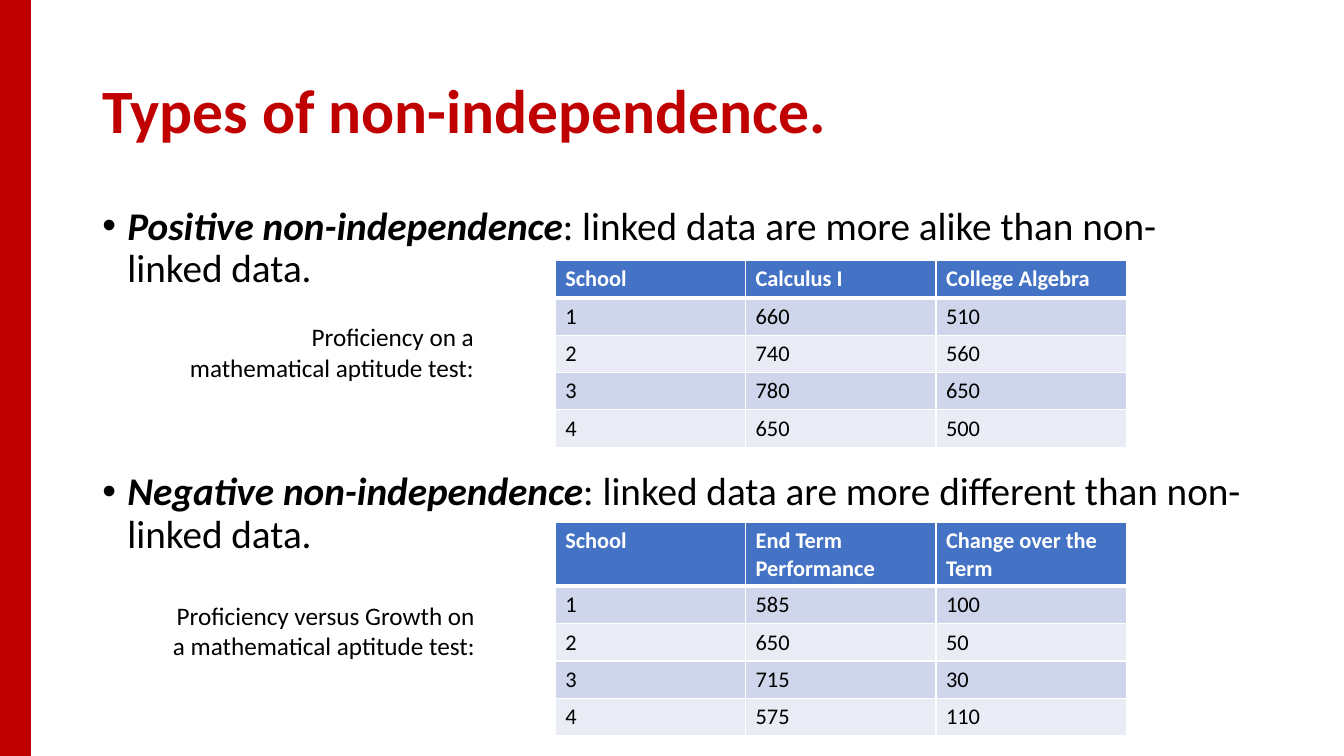
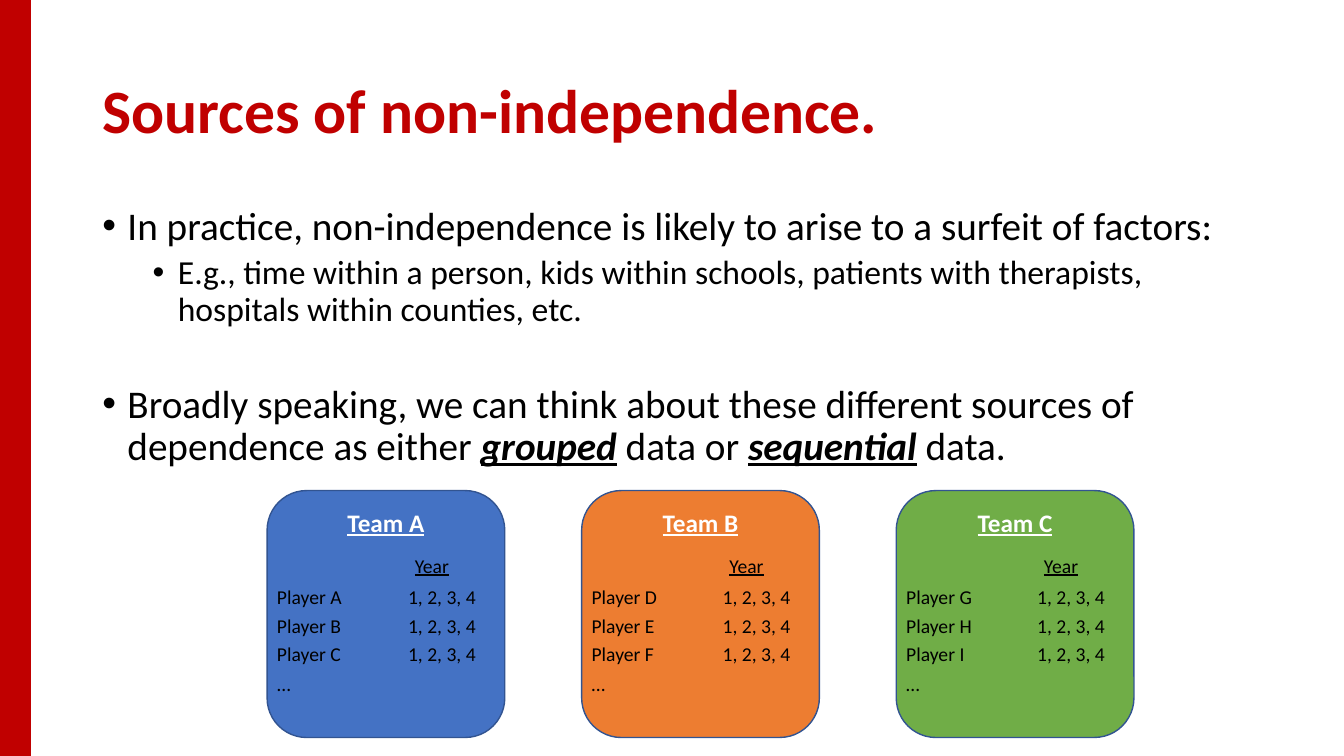
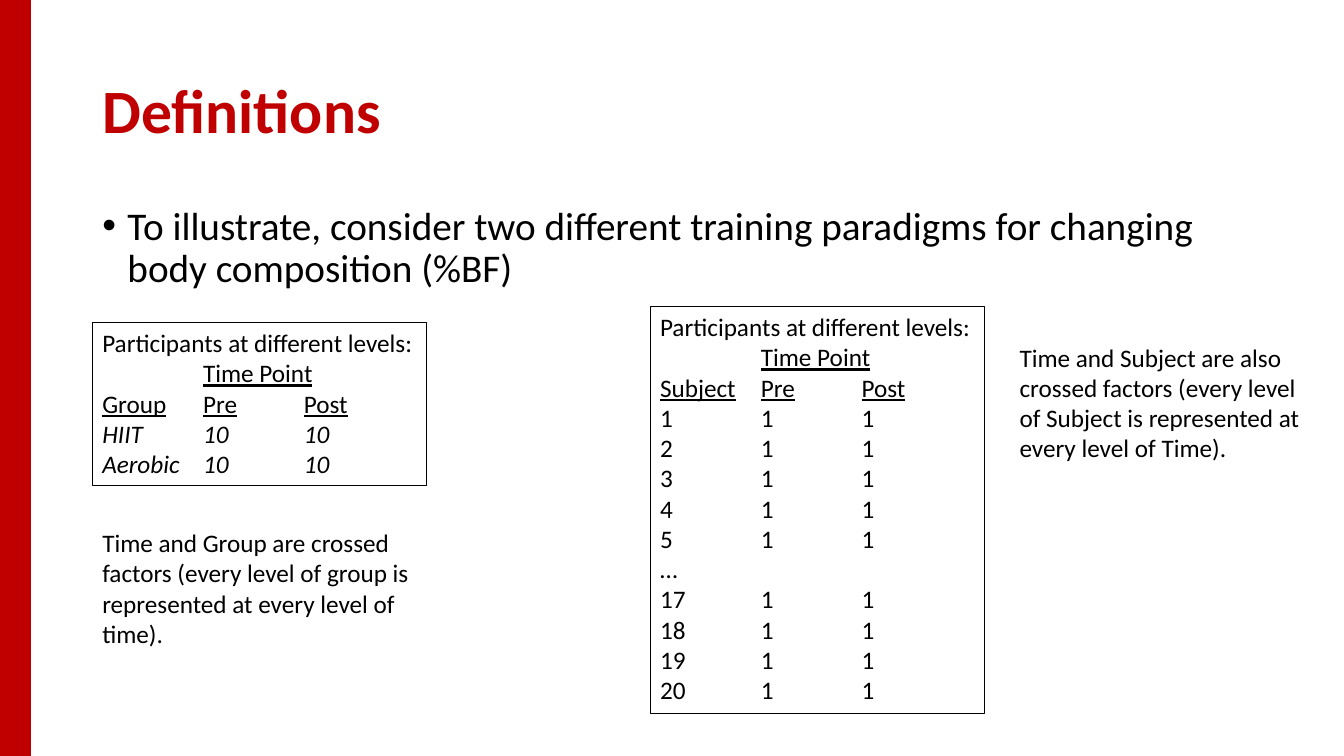
"""Build three slides on non-independent data."""
import pptx
import pptx.dml.color
import pptx.enum.shapes
import pptx.enum.text
import pptx.oxml
import pptx.oxml.ns
import pptx.util

RGB = pptx.dml.color.RGBColor
RED = RGB(0xC0, 0x00, 0x00)
BLACK = RGB(0x00, 0x00, 0x00)
WHITE = RGB(0xFF, 0xFF, 0xFF)
BLUE = RGB(0x44, 0x72, 0xC4)
NAVY = RGB(0x32, 0x54, 0x91)
ORANGE = RGB(0xED, 0x7D, 0x31)
GREEN = RGB(0x70, 0xAD, 0x47)
BANDS = (RGB(0xE9, 0xEB, 0xF5), RGB(0xCF, 0xD5, 0xEA))
FORM = pptx.enum.shapes.MSO_SHAPE
ALIGN = pptx.enum.text.PP_ALIGN
ANCHOR = pptx.enum.text.MSO_ANCHOR
Pt = pptx.util.Pt
COLS, ROWS = 160, 90
UNIT = pptx.util.Inches(1) // 12


def grid(*cells):
    return [pptx.util.Emu(round(cell * UNIT)) for cell in cells]


def node(tag, inner="", **attrs):
    pairs = "".join(f' {key}="{value}"' for key, value in attrs.items())
    space = pptx.oxml.ns.nsdecls("a")
    return pptx.oxml.parse_xml(f"<a:{tag} {space}{pairs}>{inner}</a:{tag}>")


class Deck:
    def __init__(self, font="Calibri"):
        self.font = font
        self.show = pptx.Presentation()
        self.show.slide_width, self.show.slide_height = grid(COLS, ROWS)

    def page(self, title):
        self.slide = self.show.slides.add_slide(self.show.slide_layouts[6])
        self.shape(FORM.RECTANGLE, (0, 0, 3.6, ROWS), RED, RED)
        frame = self.box((11, 4.8, 138, 17.4), [[(title, "b")]], 44, RED)
        frame.vertical_anchor = ANCHOR.MIDDLE
        frame.paragraphs[0].line_spacing = 0.9

    def shape(self, form, place, fill, line):
        shape = self.slide.shapes.add_shape(form, *grid(*place))
        shape.shadow.inherit = False
        shape.fill.solid()
        shape.fill.fore_color.rgb = fill
        shape.line.color.rgb = line
        shape.line.width = Pt(1)
        return shape

    def put(self, para, runs, size, color=BLACK, align=ALIGN.LEFT):
        para.alignment = align
        for text, style in runs:
            run = para.add_run()
            run.text = text
            font = run.font
            font.name, font.size = self.font, Pt(size)
            font.color.rgb = color
            font.bold = "b" in style
            font.italic = "i" in style
            font.underline = "u" in style

    def lines(self, frame, count):
        for _ in range(count - 1):
            frame.add_paragraph()
        return frame.paragraphs

    def box(self, place, lines, size=18, color=BLACK, align=ALIGN.LEFT, wrap=True):
        frame = self.slide.shapes.add_textbox(*grid(*place)).text_frame
        frame.word_wrap = wrap
        for para, runs in zip(self.lines(frame, len(lines)), lines):
            self.put(para, runs, size, color, align)
        return frame

    def note(self, place, text, align=ALIGN.LEFT):
        self.box(place, [[(text, "")]], align=align)

    def label(self, place, text, style=""):
        self.box(place, [[(text, style)]], 14, wrap=False)

    def body(self, items):
        frame = self.box((11, 24, 138, 57.1), [])
        for para, (level, gap, runs) in zip(self.lines(frame, len(items)), items):
            props = para._p.get_or_add_pPr()
            props.set("marL", str(pptx.util.Inches(0.25 + level / 2)))
            props.set("indent", str(pptx.util.Inches(-0.25)))
            props.append(node("buFont", typeface="Arial"))
            props.append(node("buChar", char="•"))
            para.level = level
            para.line_spacing = 0.9
            para.space_before = Pt(gap)
            self.put(para, runs, 28 - 4 * level)

    def table(self, left, top, head, rows):
        data = [["School", *head], *rows]
        tall = [7.4 if max(map(len, head)) > 15 else 4.45] + [4.45] * len(rows)
        place = grid(left, top, 68, sum(tall))
        table = self.slide.shapes.add_table(len(data), 3, *place).table
        for col in table.columns:
            col.width = grid(68 / 3)[0]
        for r, values in enumerate(data):
            table.rows[r].height = grid(tall[r])[0]
            for c, value in enumerate(values):
                self.cell(table.cell(r, c), r, str(value))

    def cell(self, cell, row, text):
        props = cell._tc.get_or_add_tcPr()
        paint = f'<a:solidFill><a:srgbClr val="{WHITE}"/></a:solidFill>'
        for side in "LRTB":
            thick = (row, side) in ((0, "B"), (1, "T"))
            props.append(node("ln" + side, paint, w=Pt(3 if thick else 1)))
        cell.fill.solid()
        cell.fill.fore_color.rgb = BANDS[row % 2] if row else BLUE
        style, color = ("", BLACK) if row else ("b", WHITE)
        self.put(cell.text_frame.paragraphs[0], [(text, style)], 16, color)

    def team(self, left, name, fill, players):
        top = 58.4
        card = self.shape(FORM.ROUNDED_RECTANGLE, (left, top, 28.3, 29.4), fill, NAVY)
        card.text_frame.vertical_anchor = ANCHOR.TOP
        head = card.text_frame.paragraphs[0]
        self.put(head, [(f"Team {name}", "bu")], 18, WHITE, ALIGN.CENTER)
        self.label((left + 16.4, top + 6.9, 6.6, 4.1), "Year", "u")
        for i, player in enumerate(players):
            line = top + 10.7 + 3.37 * i
            self.label((left, line, 10.3, 4.1), f"Player {player}")
            self.label((left + 15.6, line, 10.6, 4.1), "1, 2, 3, 4")
        self.label((left, top + 21, 4.2, 4.1), "…")

    def levels(self, place, factor, rows, style=""):
        lines = [
            [("Participants at different levels:", "")],
            [("\t", ""), ("Time Point", "u")],
            [(factor, "u"), ("\t", ""), ("Pre", "u"), ("\t", ""), ("Post", "u")],
        ]
        lines += [[("\t".join(row), style)] for row in rows]
        frame = self.box(place, lines, wrap=False)
        for para in frame.paragraphs:
            stops = "".join(
                f'<a:tab pos="{pptx.util.Inches(n)}" algn="l"/>' for n in (1, 2)
            )
            para._p.get_or_add_pPr().append(node("tabLst", stops))
        edge = self.slide.shapes[-1].line
        edge.color.rgb = BLACK
        edge.width = Pt(0.75)


def types(deck):
    deck.page("Types of non-independence.")
    deck.body([
        (0, gap, [
            (f"{kind} non-independence", "bi"),
            (f": linked data are more {trait} than non-linked data.", ""),
        ])
        for gap, kind, trait in ((0, "Positive", "alike"), (129, "Negative", "different"))
    ])
    deck.table(66.1, 31, ["Calculus I", "College Algebra"],
               [(1, 660, 510), (2, 740, 560), (3, 780, 650), (4, 650, 500)])
    deck.note((21, 37.7, 36.6, 8.5),
              "Proficiency on a mathematical aptitude test:", ALIGN.RIGHT)
    deck.table(66.1, 62.2, ["End Term Performance", "Change over the Term"],
               [(1, 585, 100), (2, 650, 50), (3, 715, 30), (4, 575, 110)])
    deck.note((18.6, 70.9, 39.1, 8.5),
              "Proficiency versus Growth on a mathematical aptitude test:", ALIGN.RIGHT)


def sources(deck):
    deck.page("Sources of non-independence.")
    deck.body([
        (0, 0, [("In practice, non-independence is likely to arise to a surfeit of factors:", "")]),
        (1, 5, [("E.g., time within a person, kids within schools, patients with therapists, "
                 "hospitals within counties, etc.", "")]),
        (0, 40, [
            ("Broadly speaking, we can think about these different sources of "
             "dependence as either ", ""),
            ("grouped", "biu"),
            (" data or ", ""),
            ("sequential", "biu"),
            (" data.", ""),
        ]),
    ])
    teams = (("A", BLUE, "ABC"), ("B", ORANGE, "DEF"), ("C", GREEN, "GHI"))
    for i, team in enumerate(teams):
        deck.team(31.8 + 37.45 * i, *team)


def terms(deck):
    deck.page("Definitions")
    deck.body([
        (0, 0, [("To illustrate, consider two different training paradigms for changing "
                 "body composition (%BF)", "")]),
    ])
    deck.levels((11, 38.4, 39.8, 19.4), "Group",
                [(name, "10", "10") for name in ("HIIT", "Aerobic")], "i")
    deck.note((11, 62.2, 39.8, 15.7),
              "Time and Group are crossed factors (every level of group is "
              "represented at every level of time).")
    first, last = ([(str(n), "1", "1") for n in span] for span in (range(1, 6), range(17, 21)))
    deck.levels((77.4, 36.5, 39.8, 48.5), "Subject", [*first, ("…",), *last])
    deck.note((120.2, 40.1, 37, 15.7),
              "Time and Subject are also crossed factors (every level of Subject is "
              "represented at every level of Time).")


def main():
    deck = Deck()
    for build in (types, sources, terms):
        build(deck)
    deck.show.save("out.pptx")


if __name__ == "__main__":
    main()
